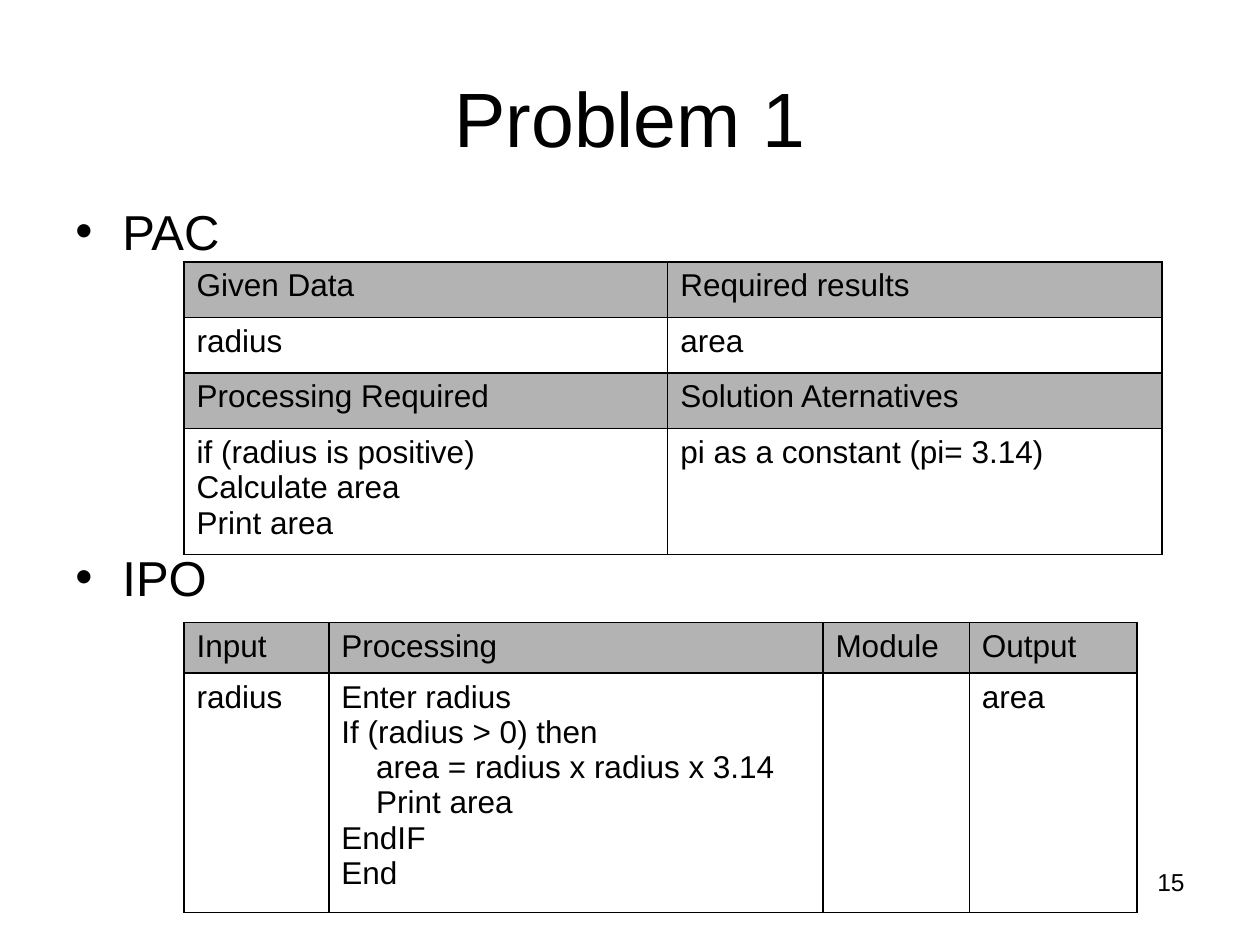
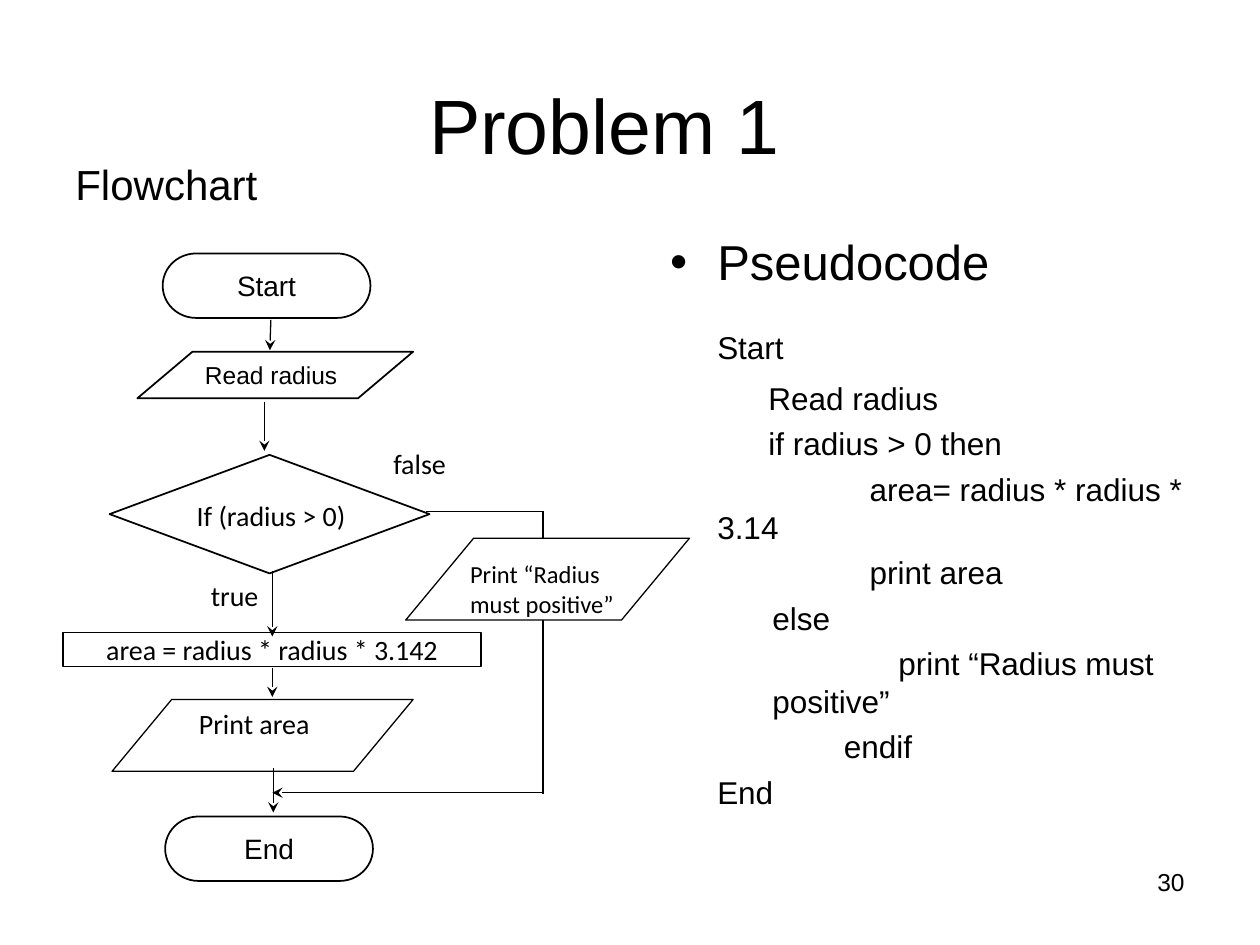
from dataclasses import dataclass

from lxml import etree
from pptx import Presentation
from pptx.dml.color import RGBColor
from pptx.enum.shapes import MSO_CONNECTOR, MSO_SHAPE
from pptx.enum.text import MSO_ANCHOR, PP_ALIGN
from pptx.oxml.ns import qn
from pptx.util import Cm, Pt

LEFT, CENTER, RIGHT = PP_ALIGN.LEFT, PP_ALIGN.CENTER, PP_ALIGN.RIGHT
TOP, MIDDLE = MSO_ANCHOR.TOP, MSO_ANCHOR.MIDDLE
STRAIGHT = MSO_CONNECTOR.STRAIGHT
RECTANGLE, PARALLELOGRAM = MSO_SHAPE.RECTANGLE, MSO_SHAPE.PARALLELOGRAM
DECISION, TERMINATOR = MSO_SHAPE.FLOWCHART_DECISION, MSO_SHAPE.FLOWCHART_TERMINATOR
DATA = MSO_SHAPE.FLOWCHART_DATA


@dataclass(frozen=True)
class Theme:
    ink: RGBColor = RGBColor(0, 0, 0)
    paper: RGBColor = RGBColor(255, 255, 255)
    header: RGBColor = RGBColor(0xB3, 0xB3, 0xB3)
    font: str = "Arial"
    label_font: str = "Calibri"
    title: int = 44
    topic: int = 28
    subtitle: int = 24
    body: int = 18
    node: int = 16
    small: int = 14


theme = Theme()


def write(frame, text, size=theme.body, font=theme.font, align=LEFT, anchor=TOP,
          before=0, margin=0, indent=0, bullet=False, inset=None):
    """Add one paragraph to a text frame; lengths are in centimetres."""
    frame.word_wrap = True
    frame.vertical_anchor = anchor
    if inset is not None:
        frame.margin_left = frame.margin_right = Cm(inset)
        frame.margin_top = frame.margin_bottom = Cm(inset)
    para = frame.add_paragraph() if frame.text else frame.paragraphs[0]
    para.alignment = align
    para.space_before = Pt(before)
    properties = para._p.get_or_add_pPr()
    properties.set("marL", str(Cm(margin)))
    properties.set("indent", str(Cm(indent)))
    if bullet:
        etree.SubElement(properties, qn("a:buFont"), typeface=theme.font)
        etree.SubElement(properties, qn("a:buChar"), char="•")
    span = para.add_run()
    span.text = text
    span.font.size = Pt(size)
    span.font.name = font
    span.font.color.rgb = theme.ink


def connect(page, x1, y1, x2, y2, arrow=True):
    connector = page.shapes.add_connector(STRAIGHT, Cm(x1), Cm(y1), Cm(x2), Cm(y2))
    connector.line.color.rgb = theme.ink
    connector.line.width = Pt(0.75)
    if arrow:
        etree.SubElement(connector.line._ln, qn("a:tailEnd"), type="stealth")
    etree.SubElement(connector._element.spPr, qn("a:effectLst"))


deck = Presentation()
deck.slide_width, deck.slide_height = Cm(25.4), Cm(19.05)

# Titles and page numbers
pages = []
for title_left, title_top, number in ((1.27, 0.76, "15"), (0.76, 0.91, "30")):
    page = deck.slides.add_slide(deck.slide_layouts[5])
    title = page.shapes.title
    title.left, title.top = Cm(title_left), Cm(title_top)
    title.width, title.height = Cm(22.86), Cm(3.18)
    write(title.text_frame, "Problem 1", size=theme.title, align=CENTER, anchor=MIDDLE)
    box = page.shapes.add_textbox(Cm(18.21), Cm(17.35), Cm(5.92), Cm(1.32))
    write(box.text_frame, number, size=theme.small, align=RIGHT)
    pages.append(page)
analysis, solution = pages

# Analysis headings
box = analysis.shapes.add_textbox(Cm(1.27), Cm(3.94), Cm(22.86), Cm(12.57))
for heading, before in (("PAC", 3), ("IPO", 164)):
    write(box.text_frame, heading, size=theme.topic, before=before,
          margin=0.95, indent=-0.95, bullet=True)

# Analysis tables: top, column widths, row heights, header rows, cell lines
tables = [
    (5.28, (9.75, 9.96), (1.12, 1.12, 1.12, 2.54), (0, 2), [
        [["Given Data"], ["Required results"]],
        [["radius"], ["area"]],
        [["Processing Required"], ["Solution Aternatives"]],
        [["if (radius is positive)", "Calculate area", "Print area"],
         ["pi as a constant (pi= 3.14)"]],
    ]),
    (12.55, (2.92, 9.96, 2.95, 3.38), (1.02, 4.52), (0,), [
        [["Input"], ["Processing"], ["Module"], ["Output"]],
        [["radius"],
         ["Enter radius", "If (radius > 0) then", "\tarea = radius x radius x 3.14",
          "\tPrint area", "EndIF", "End"],
         [], ["area"]],
    ]),
]
for top, widths, heights, header_rows, rows in tables:
    table = analysis.shapes.add_table(len(rows), len(widths), Cm(3.71), Cm(top),
                                      Cm(sum(widths)), Cm(sum(heights))).table
    table.first_row = table.horz_banding = False
    for column, width in zip(table.columns, widths):
        column.width = Cm(width)
    for r, row in enumerate(rows):
        table.rows[r].height = Cm(heights[r])
        for c, lines in enumerate(row):
            cell = table.cell(r, c)
            for line in lines:
                write(cell.text_frame, line.strip(),
                      margin=0.7 if line.startswith("\t") else 0)
            properties = cell._tc.get_or_add_tcPr()
            for side in ("lnL", "lnR", "lnT", "lnB"):
                border = etree.SubElement(properties, qn("a:" + side), w=str(Pt(1)))
                fill = etree.SubElement(border, qn("a:solidFill"))
                etree.SubElement(fill, qn("a:srgbClr"), val=str(theme.ink))
            cell.fill.solid()
            cell.fill.fore_color.rgb = theme.header if r in header_rows else theme.paper

# Pseudocode: text, left margin, first-line indent, space before
box = solution.shapes.add_textbox(Cm(13.26), Cm(4.55), Cm(11.43), Cm(12.57))
write(box.text_frame, "Pseudocode", size=theme.topic, before=3,
      margin=0.95, indent=-0.95, bullet=True)
for text, margin, indent, before in (
    ("Start", 0.95, 0, 21.4),
    ("Read radius", 1.98, 0, 7.3),
    ("if radius > 0 then", 1.98, 0, 4.4),
    ("area= radius * radius * 3.14", 0.95, 3.07, 4.4),
    ("print area", 0.95, 3.07, 4.4),
    ("else", 2.06, 0, 4.4),
    ("print “Radius must positive”", 2.06, 2.54, 4.4),
    ("endif", 3.5, 0, 4.4),
    ("End", 0.95, 0, 4.4),
):
    write(box.text_frame, text, margin=margin, indent=indent, before=before)

# Flowchart heading
box = solution.shapes.add_textbox(Cm(1.27), Cm(3.07), Cm(11.43), Cm(1.75))
write(box.text_frame, "Flowchart", size=theme.subtitle, before=3)

# False branch, running behind its message
connect(solution, 10.95, 10.31, 8.59, 10.31, arrow=False)
connect(solution, 10.95, 10.31, 10.95, 16, arrow=False)
connect(solution, 10.95, 15.98, 5.49, 15.98)

# Flowchart nodes: shape, box, line colour and width, text, text format
terminal = dict(size=theme.node, align=CENTER, anchor=MIDDLE)
label = dict(terminal, font=theme.label_font, inset=0.03)
message = dict(size=theme.small, font=theme.label_font)
nodes = [
    (DECISION, (2.21, 9.17, 6.45, 2.39), theme.ink, 1, "", {}),
    (TERMINATOR, (3.28, 5.11, 4.19, 1.3), theme.ink, 1, "Start", terminal),
    (RECTANGLE, (3.71, 10.03, 3.51, 0.71), theme.paper, 0.75, "If (radius > 0)", label),
    (RECTANGLE, (4.17, 11.68, 1.12, 0.66), theme.paper, 0.75, "true", label),
    (RECTANGLE, (1.27, 12.75, 8.43, 0.69), theme.ink, 0.75,
     "area = radius * radius * 3.142", label),
    (RECTANGLE, (7.47, 8.94, 1.98, 0.81), theme.paper, 0.75, "false", label),
    (PARALLELOGRAM, (2.26, 14.1, 6.07, 1.45), theme.ink, 0.75, "", {}),
    (DATA, (2.77, 7.09, 5.56, 0.94), theme.ink, 1, "Read radius",
     dict(size=theme.small, anchor=MIDDLE)),
    (TERMINATOR, (3.33, 16.46, 4.19, 1.3), theme.ink, 1, "End", terminal),
    (PARALLELOGRAM, (8.18, 10.85, 5.72, 1.65), theme.ink, 0.75,
     "Print “Radius must positive”", message),
]
for kind, place, color, width, text, text_format in nodes:
    node = solution.shapes.add_shape(kind, *map(Cm, place))
    node.shadow.inherit = False
    node.fill.solid()
    node.fill.fore_color.rgb = theme.paper
    node.line.color.rgb = color
    node.line.width = Pt(width)
    if kind == PARALLELOGRAM:
        node.adjustments[0] = 0.83
    if text:
        write(node.text_frame, text, **text_format)
box = solution.shapes.add_textbox(Cm(3.76), Cm(14.12), Cm(4.09), Cm(1.57))
write(box.text_frame, "Print area", size=theme.node, font=theme.label_font)

# Main flow arrows
for x1, y1, x2, y2 in (
    (5.46, 6.45, 5.44, 7.06),
    (5.33, 8.1, 5.33, 9.09),
    (5.49, 11.51, 5.49, 12.83),
    (5.49, 13.46, 5.49, 14.05),
    (5.51, 15.49, 5.51, 16.38),
):
    connect(solution, x1, y1, x2, y2)

deck.save("out.pptx")
